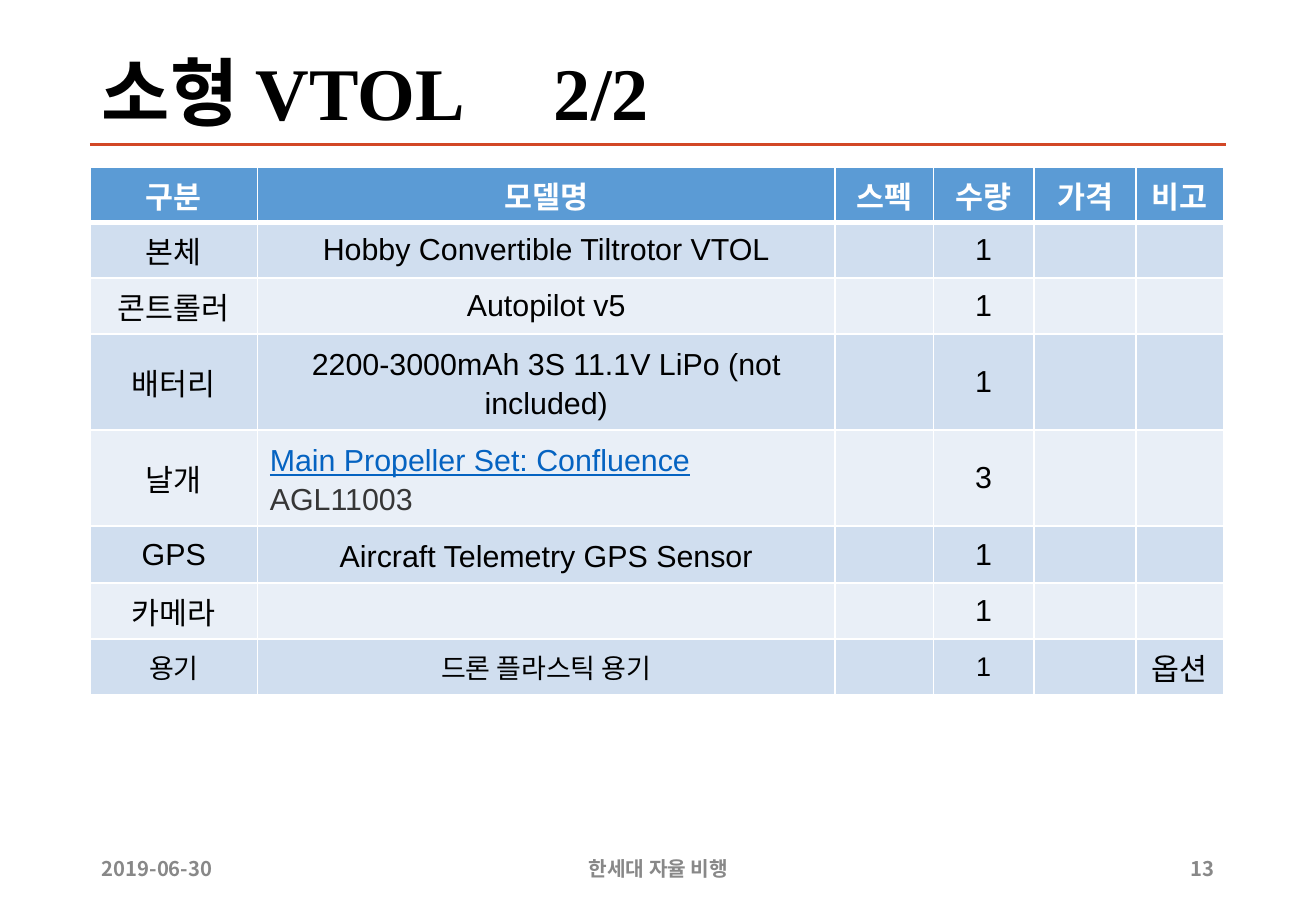
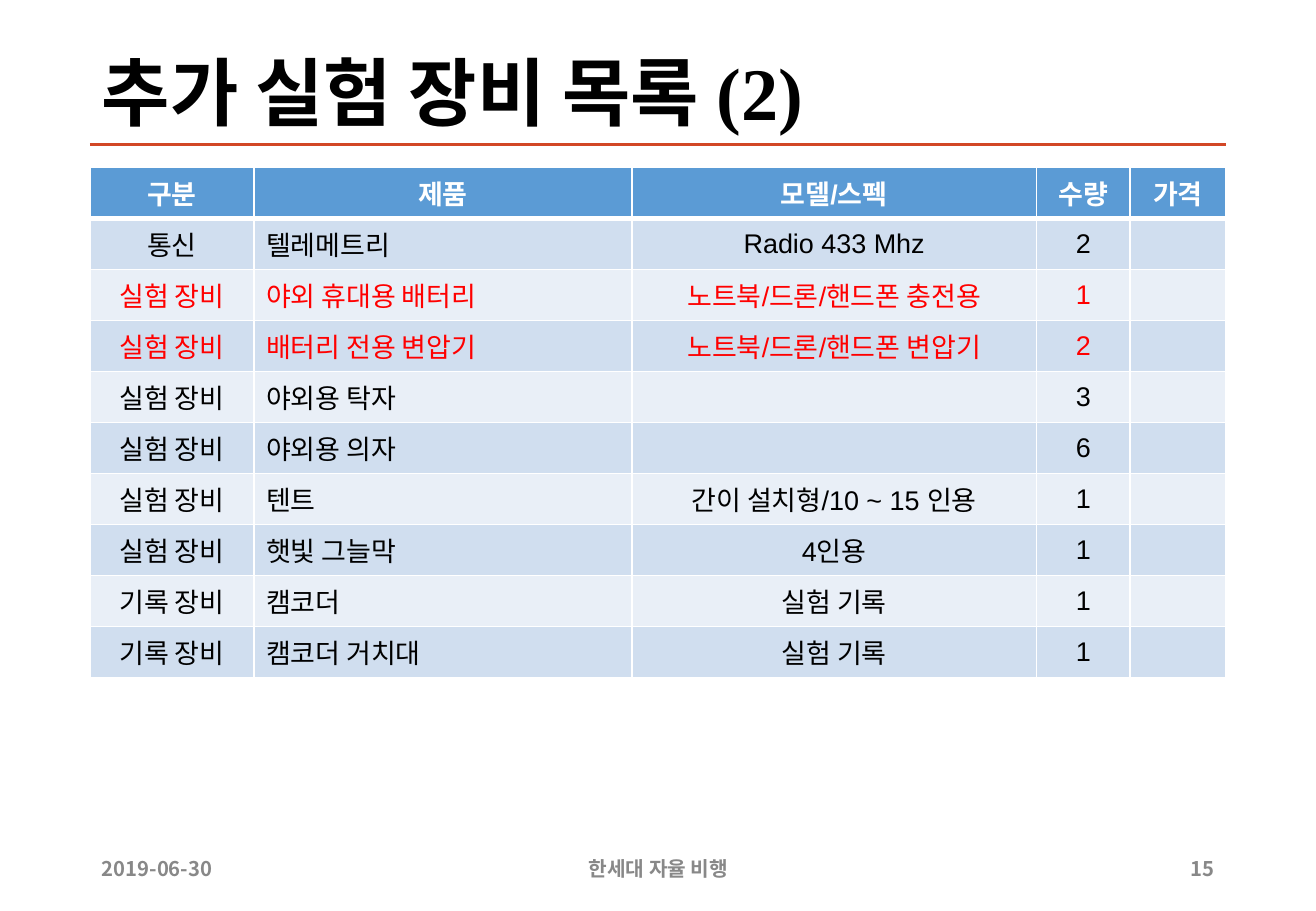
"""Build two equipment list slides with a shared title, rule and footer."""
from lxml import etree
from pptx import Presentation
from pptx.dml.color import RGBColor
from pptx.enum.shapes import MSO_CONNECTOR
from pptx.enum.text import MSO_ANCHOR, PP_ALIGN
from pptx.oxml.ns import qn
from pptx.util import Inches, Pt

LEFT, MID, RIGHT = PP_ALIGN.LEFT, PP_ALIGN.CENTER, PP_ALIGN.RIGHT
CENTRE = MSO_ANCHOR.MIDDLE
LINE = MSO_CONNECTOR.STRAIGHT
SANS, SERIF, KOREAN = "Arial", "Times New Roman", "Noto Sans CJK KR"
HUES = {
    "rule": "D24726", "foot": "888888", "text": "000000", "white": "FFFFFF",
    "head": "5B9BD5", "dark": "D0DEEF", "light": "E9EFF7",
    "alert": "FF0000", "link": "0563C1", "code": "363636",
}
EDGE, WIDE = 0.74, 9.35

PAGES = [
    {
        "title": "소형 VTOL\t2/2", "page": "13", "size": 18, "left": [], "alert": [],
        "cols": [1.38, 4.75, 0.81, 0.83, 0.84, 0.72],
        "highs": [0.45, 0.46, 0.46, 0.74, 0.74, 0.47, 0.46, 0.46],
        "rows": [
            ["구분", "모델명", "스펙", "수량", "가격", "비고"],
            ["본체", "Hobby Convertible Tiltrotor VTOL", "", "1", "", ""],
            ["콘트롤러", "Autopilot v5", "", "1", "", ""],
            ["배터리", "2200-3000mAh 3S 11.1V LiPo (not included)", "", "1", "", ""],
            ["날개", "Main Propeller Set: Confluence ", "", "3", "", ""],
            ["GPS", "Aircraft Telemetry GPS Sensor", "", "1", "", ""],
            ["카메라", "", "", "1", "", ""],
            ["용기", "드론 플라스틱 용기", "", "1", "", "옵션"],
        ],
    },
    {
        "title": "추가 실험 장비 목록 (2)", "page": "15", "size": 16, "left": [1], "alert": [2, 3],
        "cols": [1.35, 3.11, 3.33, 0.77, 0.79],
        "highs": [0.42] * 10,
        "rows": [
            ["구분", "제품", "모델/스펙", "수량", "가격"],
            ["통신", "텔레메트리", "Radio 433 Mhz", "2", ""],
            ["실험 장비", "야외 휴대용 배터리", "노트북/드론/핸드폰 충전용", "1", ""],
            ["실험 장비", "배터리 전용 변압기", "노트북/드론/핸드폰 변압기", "2", ""],
            ["실험 장비", "야외용 탁자", "", "3", ""],
            ["실험 장비", "야외용 의자", "", "6", ""],
            ["실험 장비", "텐트", "간이 설치형/10 ~ 15 인용", "1", ""],
            ["실험 장비", "햇빛 그늘막", "4인용", "1", ""],
            ["기록 장비", "캠코더", "실험 기록", "1", ""],
            ["기록 장비", "캠코더 거치대", "실험 기록", "1", ""],
        ],
    },
]


def style(par, size, hue, bold=False, face=SANS, align=LEFT):
    par.alignment = align
    for run in par.runs:
        font = run.font
        font.size, font.bold, font.name = Pt(size), bold, face
        font.color.rgb = RGBColor.from_string(HUES[hue])
        etree.SubElement(run._r.get_or_add_rPr(), qn("a:ea"), typeface=KOREAN)


def border(cell, top, base):
    props = cell._tc.get_or_add_tcPr()
    sides = [("L", 1), ("R", 1), ("T", top), ("B", base)]
    for spot, (side, width) in enumerate(sides):
        line = etree.Element(qn("a:ln" + side), w=str(Pt(width)))
        fill = etree.SubElement(line, qn("a:solidFill"))
        etree.SubElement(fill, qn("a:srgbClr"), val=HUES["white"])
        props.insert(spot, line)


deck = Presentation()
deck.slide_width, deck.slide_height = Inches(10.83), Inches(7.5)
blank = deck.slide_layouts[6]
grids = []

for page in PAGES:
    slide = deck.slides.add_slide(blank)
    rule = slide.shapes.add_connector(
        LINE, Inches(EDGE), Inches(1.19), Inches(EDGE + WIDE), Inches(1.19))
    rule.line.color.rgb = RGBColor.from_string(HUES["rule"])
    rule.line.width = Pt(2)
    etree.SubElement(rule._element.spPr, qn("a:effectLst"))

    labels = [
        (page["title"], EDGE, 0.4, WIDE, 0.79, 44, "text", SERIF, LEFT),
        ("2019-06-30", EDGE, 6.95, 1.27, 0.4, 12, "foot", KOREAN, LEFT),
        ("한세대 자율 비행", 3.59, 6.95, 3.66, 0.4, 12, "foot", KOREAN, MID),
        (page["page"], 9.56, 6.95, 0.53, 0.4, 12, "foot", KOREAN, RIGHT),
    ]
    for text, x, y, wide, high, size, hue, face, align in labels:
        box = slide.shapes.add_textbox(Inches(x), Inches(y), Inches(wide), Inches(high))
        frame = box.text_frame
        frame.word_wrap, frame.vertical_anchor = True, CENTRE
        frame.text = text
        par = frame.paragraphs[0]
        style(par, size, hue, True, face, align)
        if "\t" in text:
            tabs = etree.SubElement(par._p.get_or_add_pPr(), qn("a:tabLst"))
            etree.SubElement(tabs, qn("a:tab"), pos=str(Inches(3.72)), algn="l")
        if face == SERIF:
            par.line_spacing = 0.9

    rows, cols, highs = page["rows"], page["cols"], page["highs"]
    grid = slide.shapes.add_table(
        len(rows), len(cols), Inches(EDGE), Inches(1.38),
        Inches(sum(cols)), Inches(sum(highs))).table
    grid.horz_banding = False
    grids.append(grid)
    for col, wide in zip(grid.columns, cols):
        col.width = Inches(wide)
    for r, row in enumerate(rows):
        grid.rows[r].height = Inches(highs[r])
        head = r == 0
        band = "head" if head else "dark" if r % 2 else "light"
        hue = "white" if head else "alert" if r in page["alert"] else "text"
        for c, text in enumerate(row):
            cell = grid.cell(r, c)
            cell.vertical_anchor = CENTRE
            cell.fill.solid()
            cell.fill.fore_color.rgb = RGBColor.from_string(HUES[band])
            border(cell, 3 if r == 1 else 1, 3 if head else 1)
            cell.text_frame.text = text
            align = LEFT if c in page["left"] and not head else MID
            style(cell.text_frame.paragraphs[0], page["size"], hue, head, SANS, align)

parts = grids[0]
for r in (3, 4, 5):
    parts.cell(r, 1).text_frame.paragraphs[0].line_spacing = 1.15
for c in (0, 1, 3):
    for run in parts.cell(7, c).text_frame.paragraphs[0].runs:
        run.font.size = Pt(16)

blade = parts.cell(4, 1).text_frame.paragraphs[0]
blade.alignment = LEFT
name = blade.runs[0].font
name.underline = True
name.color.rgb = RGBColor.from_string(HUES["link"])
code = blade.add_run()
code.text = "AGL11003"
code.font.size, code.font.name = Pt(18), SANS
code.font.color.rgb = RGBColor.from_string(HUES["code"])

deck.save("out.pptx")
